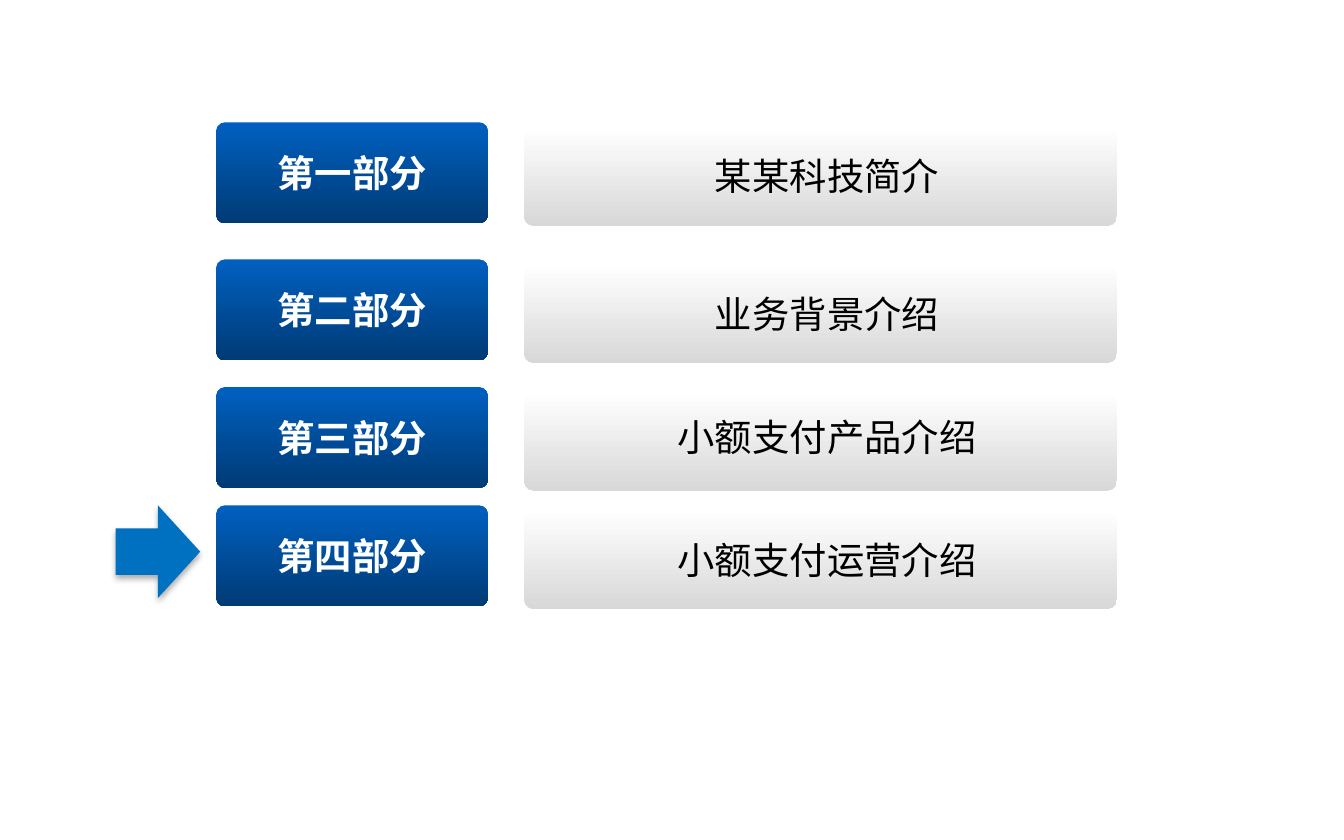
import pptx
import pptx.util
import pptx.dml.color
import pptx.enum.shapes
import pptx.enum.text
import pptx.oxml
import pptx.oxml.ns
import lxml.etree

FONT = "Noto Sans CJK SC"
SHAPES = pptx.enum.shapes.MSO_SHAPE
inch = pptx.util.Inches


def rgb(value):
    return pptx.dml.color.RGBColor.from_string(value)


def write(sp, text, color, bold, margin):
    tf = sp.text_frame
    tf.word_wrap = False
    tf.vertical_anchor = pptx.enum.text.MSO_ANCHOR.MIDDLE
    p = tf.paragraphs[0]
    p.text = text
    p.alignment = pptx.enum.text.PP_ALIGN.CENTER
    pPr = p._p.get_or_add_pPr()
    pPr.set("marL", str(inch(margin)))
    pPr.set("indent", "0")
    p.font.size = pptx.util.Pt(20)
    p.font.bold = bold
    p.font.color.rgb = rgb(color)
    p.font.name = FONT
    ea = lxml.etree.SubElement(pPr.find(pptx.oxml.ns.qn("a:defRPr")), pptx.oxml.ns.qn("a:ea"))
    ea.set("typeface", FONT)


prs = pptx.Presentation()
prs.slide_width, prs.slide_height = inch(10), inch(6.25)
s = prs.slides.add_slide(prs.slide_layouts[6])

row_tops = [0.91, 1.93, 2.88, 3.76]
parts = ["第一部分", "第二部分", "第三部分", "第四部分"]
topics = ["某某科技简介", "业务背景介绍", "小额支付产品介绍", "小额支付运营介绍"]
columns = [
    (1.61, 0, 2.02, 0.75, 0.084, "0060C0", "003B76"),
    (3.9, 0.03, 4.41, 0.74, 0.099, "FFFFFF", "D8D8D8"),
]

for top, part, topic in zip(row_tops, parts, topics):
    bars = []
    for left, drop, width, height, corner, start, end in columns:
        sp = s.shapes.add_shape(SHAPES.ROUNDED_RECTANGLE, inch(left), inch(top + drop),
                                inch(width), inch(height))
        sp.adjustments[0] = corner
        sp.shadow.inherit = False
        sp.line.fill.background()
        sp.fill.gradient()
        sp.fill.gradient_angle = 270
        for stop, color in zip(sp.fill.gradient_stops, (start, end)):
            stop.color.rgb = rgb(color)
        bars.append(sp)
    write(bars[0], part, "FFFFFF", True, 0)
    if topic == "小额支付产品介绍":
        label = s.shapes.add_textbox(inch(4.83), inch(top + 0.15), inch(2.55), inch(0.44))
    else:
        label = bars[1]
    write(label, topic, "000000", False, 0.1)

arrow = s.shapes.add_shape(SHAPES.RIGHT_ARROW, inch(0.86), inch(row_tops[-1]),
                           inch(0.63), inch(0.69))
arrow.fill.solid()
arrow.fill.fore_color.rgb = rgb("0070C0")
arrow.line.fill.background()
arrow.shadow.inherit = False
effects = arrow._element.spPr.find(pptx.oxml.ns.qn("a:effectLst"))
effects.append(pptx.oxml.parse_xml(
    f'<a:outerShdw {pptx.oxml.ns.nsdecls("a")} blurRad="44450" dist="27940" dir="5400000"'
    ' algn="ctr" rotWithShape="0"><a:srgbClr val="000000"><a:alpha val="32000"/>'
    '</a:srgbClr></a:outerShdw>'))

prs.save("out.pptx")
